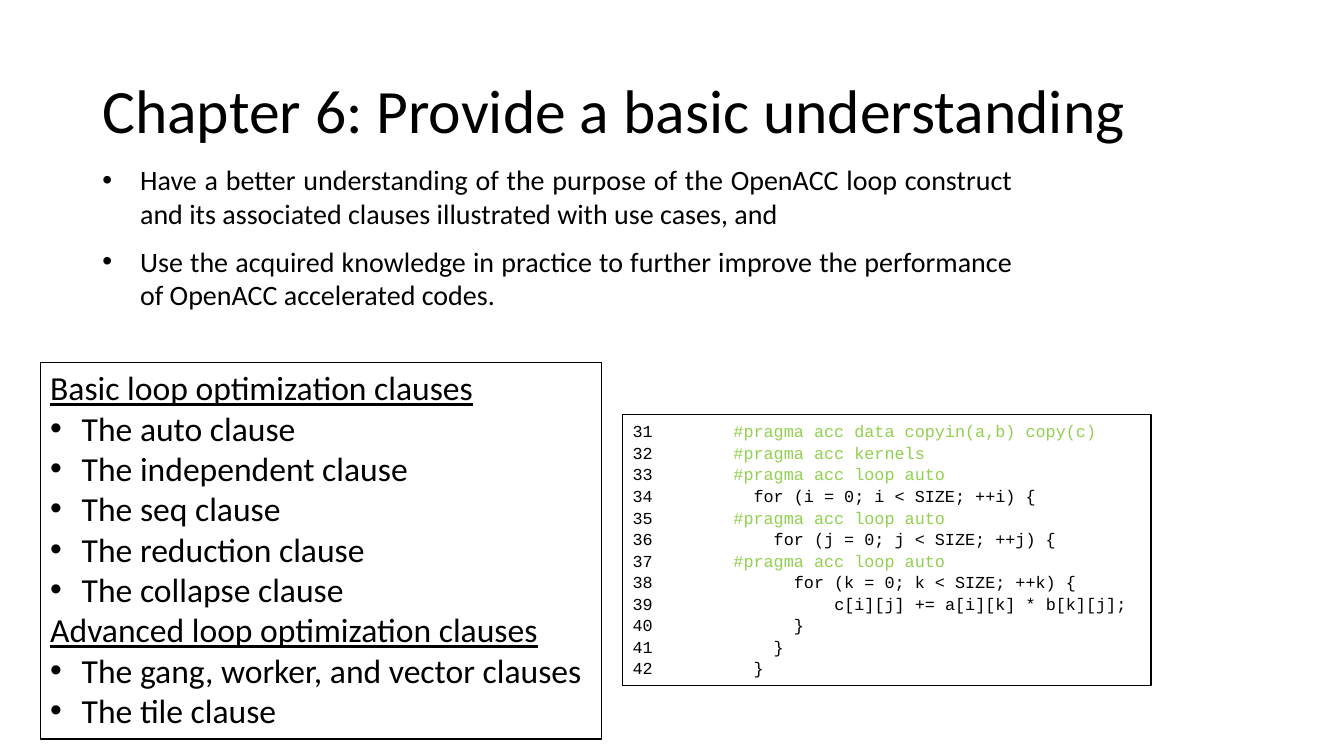
from lxml.etree import SubElement
from pptx import Presentation
from pptx.dml.color import RGBColor
from pptx.enum.shapes import MSO_SHAPE
from pptx.enum.text import MSO_ANCHOR, PP_ALIGN
from pptx.oxml.ns import qn
from pptx.util import Pt

COLORS = {"text": "000000", "paper": "FFFFFF", "pragma": "92D050"}

GOALS = [
    "Have a better understanding of the purpose of the OpenACC loop construct "
    "and its associated clauses illustrated with use cases, and",
    "Use the acquired knowledge in practice to further improve the performance "
    "of OpenACC accelerated codes.",
]
CLAUSES = {
    "Basic loop optimization clauses": [
        "The auto clause",
        "The independent clause",
        "The seq clause",
        "The reduction clause",
        "The collapse clause",
    ],
    "Advanced loop optimization clauses": [
        "The gang, worker, and vector clauses",
        "The tile clause",
    ],
}
FIRST_LINE = 31
CODE_TABS = (72, 144)
CODE = [
    "#pragma acc data copyin(a,b) copy(c)",
    "#pragma acc kernels",
    "#pragma acc loop auto",
    "  for (i = 0; i < SIZE; ++i) {",
    "#pragma acc loop auto",
    "    for (j = 0; j < SIZE; ++j) {",
    "#pragma acc loop auto",
    "      for (k = 0; k < SIZE; ++k) {",
    "\tc[i][j] += a[i][k] * b[k][j];",
    "      }",
    "    }",
    "  }",
]


def rgb(name):
    return RGBColor.from_string(COLORS[name])


def add_run(p, text, size=24, font="Calibri", color="text", underline=False):
    r = p.add_run()
    r.text = text
    r.font.size = Pt(size)
    r.font.name = font
    r.font.color.rgb = rgb(color)
    r.font.underline = underline


def add_paragraph(tf, align=PP_ALIGN.LEFT, spacing=None, after=0, bullet=None, tabs=()):
    """Start a paragraph; bullet is the hanging indent and tabs the stops, in points."""
    first = tf.paragraphs[0]
    p = tf.add_paragraph() if first.runs else first
    p.alignment = align
    p.line_spacing = spacing
    p.space_after = Pt(after)
    pPr = p._p.get_or_add_pPr()
    if bullet:
        pPr.set("marL", str(Pt(bullet)))
        pPr.set("indent", str(-Pt(bullet)))
        SubElement(pPr, qn("a:buFont"), typeface="Arial")
        SubElement(pPr, qn("a:buChar"), char="•")
    if tabs:
        tab_list = SubElement(pPr, qn("a:tabLst"))
        for stop in tabs:
            SubElement(tab_list, qn("a:tab"), pos=str(Pt(stop)), algn="l")
    return p


def add_text_box(s, left, top, width, height, anchor=MSO_ANCHOR.TOP):
    sp = s.shapes.add_textbox(Pt(left), Pt(top), Pt(width), Pt(height))
    tf = sp.text_frame
    tf.word_wrap = True
    tf.vertical_anchor = anchor
    return tf


def add_panel(s, left, top, width, height):
    sp = s.shapes.add_shape(MSO_SHAPE.RECTANGLE, Pt(left), Pt(top), Pt(width), Pt(height))
    sp.shadow.inherit = False
    sp.fill.solid()
    sp.fill.fore_color.rgb = rgb("paper")
    sp.line.color.rgb = rgb("text")
    sp.line.width = Pt(1)
    tf = sp.text_frame
    tf.word_wrap = True
    tf.vertical_anchor = MSO_ANCHOR.TOP
    return tf


def main():
    prs = Presentation()
    prs.slide_width, prs.slide_height = Pt(960), Pt(540)
    s = prs.slides.add_slide(prs.slide_layouts[6])

    # Title
    tf = add_text_box(s, 66, 28.75, 828, 104.4, MSO_ANCHOR.MIDDLE)
    add_run(add_paragraph(tf, spacing=0.9), "Chapter 6: Provide a basic understanding", size=44)

    # Learning goals
    tf = add_text_box(s, 66, 112.7, 664.5, 114.5)
    for goal in GOALS:
        add_run(add_paragraph(tf, PP_ALIGN.JUSTIFY, after=10, bullet=27), goal, size=20)

    # Clause overview
    tf = add_panel(s, 28.8, 258.8, 401, 269)
    for heading, items in CLAUSES.items():
        add_run(add_paragraph(tf), heading, underline=True)
        for item in items:
            add_run(add_paragraph(tf, bullet=22.5), item)

    # Numbered code listing
    tf = add_panel(s, 444.8, 296.2, 377.5, 193.7)
    for number, line in enumerate(CODE, FIRST_LINE):
        p = add_paragraph(tf, spacing=1.07, tabs=CODE_TABS)
        color = "pragma" if line.startswith("#pragma") else "text"
        add_run(p, str(number), size=12, font="Courier New")
        add_run(p, "\t" + line, size=12, font="Courier New", color=color)

    prs.save("out.pptx")


if __name__ == "__main__":
    main()
